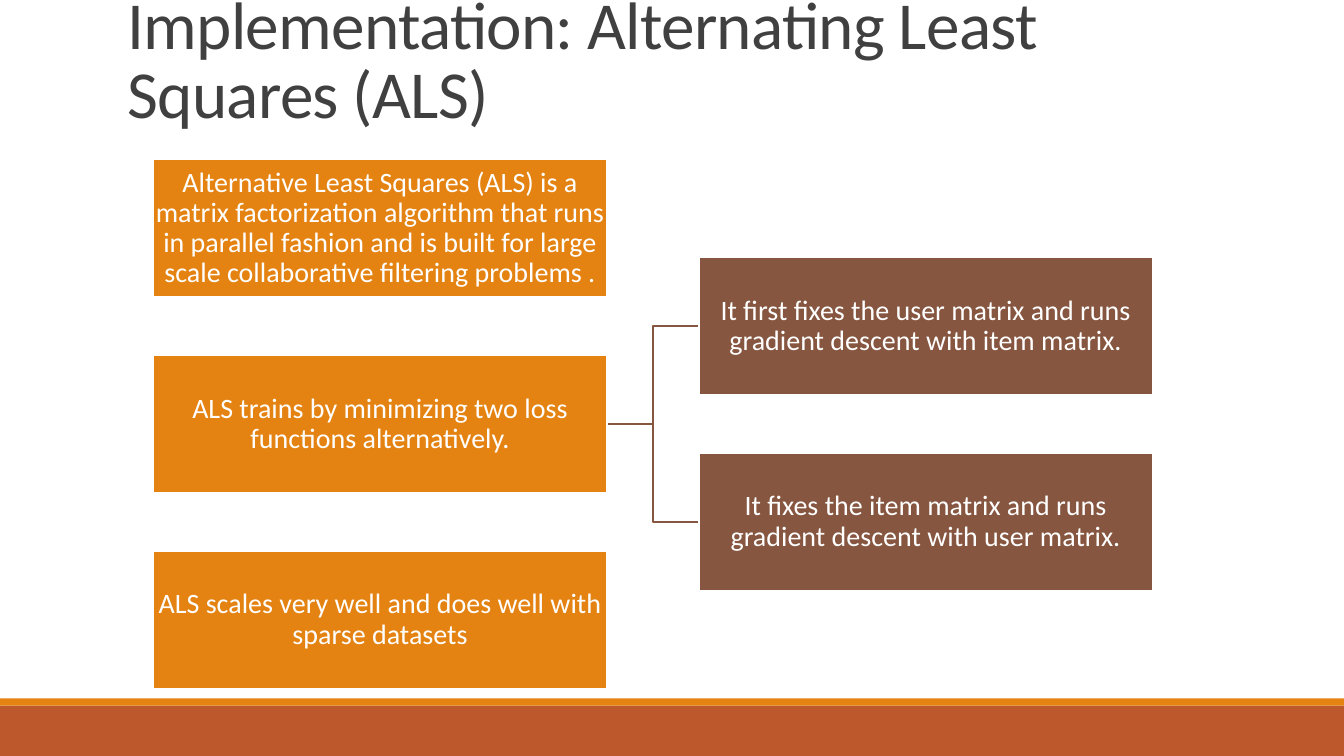
from pptx import Presentation
from pptx.dml.color import RGBColor
from pptx.enum import shapes, text
from pptx.util import Pt

# Content
TITLE = "Implementation:\u00a0Alternating Least Squares (ALS)".replace("\u00a0", " ")
MAIN_POINTS = [
    "Alternative Least Squares (ALS) is a matrix factorization algorithm that runs "
    "in parallel fashion and is built for large scale collaborative filtering problems .",
    "ALS trains by minimizing two loss functions alternatively.",
    "ALS scales very well and does well with sparse datasets",
]
LOSS_STEPS = [
    "It first fixes the user matrix and runs gradient descent with item matrix.",
    "It fixes the item matrix and runs gradient descent with user matrix.",
]
COLORS = {"orange": "E48312", "brown": "865640", "rust": "BD582C",
          "title": "404040", "white": "FFFFFF"}
FONT = "Calibri"

# Layout in points
SLIDE_WIDTH, SLIDE_HEIGHT = 960, 540
BOX_WIDTH, BOX_HEIGHT = 324, 98.4
MAIN_LEFT, STEP_LEFT = 109.5, 499.2
FIRST_TOP, HALF_ROW = 113.9, 69.9

presentation = Presentation()
presentation.slide_width, presentation.slide_height = Pt(SLIDE_WIDTH), Pt(SLIDE_HEIGHT)
slide = presentation.slides.add_slide(presentation.slide_layouts[6])


def rgb(name):
    return RGBColor.from_string(COLORS[name])


def add_box(left, top, width, height, fill, outline=None):
    box = slide.shapes.add_shape(shapes.MSO_SHAPE.RECTANGLE,
                                 Pt(left), Pt(top), Pt(width), Pt(height))
    box.shadow.inherit = False
    box.fill.solid()
    box.fill.fore_color.rgb = rgb(fill)
    if outline:
        box.line.color.rgb = rgb(outline)
        box.line.width = Pt(1.25)
    else:
        box.line.fill.background()
    return box


def write(shape, words, *, size, color, align, anchor, line_spacing,
          margins, space_after=0, tracking=0):
    frame = shape.text_frame
    frame.word_wrap = True
    frame.vertical_anchor = anchor
    frame.margin_left = frame.margin_right = Pt(margins[0])
    frame.margin_top = frame.margin_bottom = Pt(margins[1])
    paragraph = frame.paragraphs[0]
    paragraph.alignment = align
    paragraph.line_spacing = line_spacing
    paragraph.space_after = Pt(space_after)
    run = paragraph.add_run()
    run.text = words
    run.font.name, run.font.size = FONT, Pt(size)
    run.font.color.rgb = rgb(color)
    if tracking:
        run.font._element.set("spc", str(round(tracking * 100)))


def add_point(words, left, half_rows, fill):
    box = add_box(left, FIRST_TOP + half_rows * HALF_ROW, BOX_WIDTH, BOX_HEIGHT,
                  fill, outline="white")
    write(box, words, size=20, color="white", align=text.PP_ALIGN.CENTER,
          anchor=text.MSO_ANCHOR.MIDDLE, line_spacing=0.9, margins=(0.9, 0.9),
          space_after=7)


def add_branch(start_x, start_y, end_x, end_y):
    middle_x = (start_x + end_x) / 2
    builder = slide.shapes.build_freeform(Pt(start_x), Pt(start_y))
    builder.add_line_segments([(Pt(middle_x), Pt(start_y)), (Pt(middle_x), Pt(end_y)),
                               (Pt(end_x), Pt(end_y))], close=False)
    branch = builder.convert_to_shape()
    branch.shadow.inherit = False
    branch.fill.background()
    branch.line.color.rgb = rgb("brown")
    branch.line.width = Pt(1.25)


# Footer bands
add_box(0, 504, SLIDE_WIDTH, 36, "rust")
add_box(0, 498.8, SLIDE_WIDTH, 5.2, "orange")

# Title
title = slide.shapes.add_textbox(Pt(84), Pt(-7.2), Pt(792), Pt(114.5))
write(title, TITLE, size=48, color="title", align=text.PP_ALIGN.LEFT,
      anchor=text.MSO_ANCHOR.TOP, line_spacing=0.85, margins=(7.2, 3.6), tracking=-0.5)

# Branches from the middle point to its two steps
parent_y = FIRST_TOP + 2 * HALF_ROW + BOX_HEIGHT / 2
for direction in (1, -1):
    add_branch(MAIN_LEFT + BOX_WIDTH, parent_y, STEP_LEFT, parent_y + direction * HALF_ROW)

# Main points on even half rows, loss steps on odd ones
for index, words in enumerate(MAIN_POINTS):
    add_point(words, MAIN_LEFT, 2 * index, "orange")
for index, words in enumerate(LOSS_STEPS):
    add_point(words, STEP_LEFT, 2 * index + 1, "brown")

presentation.save("out.pptx")
